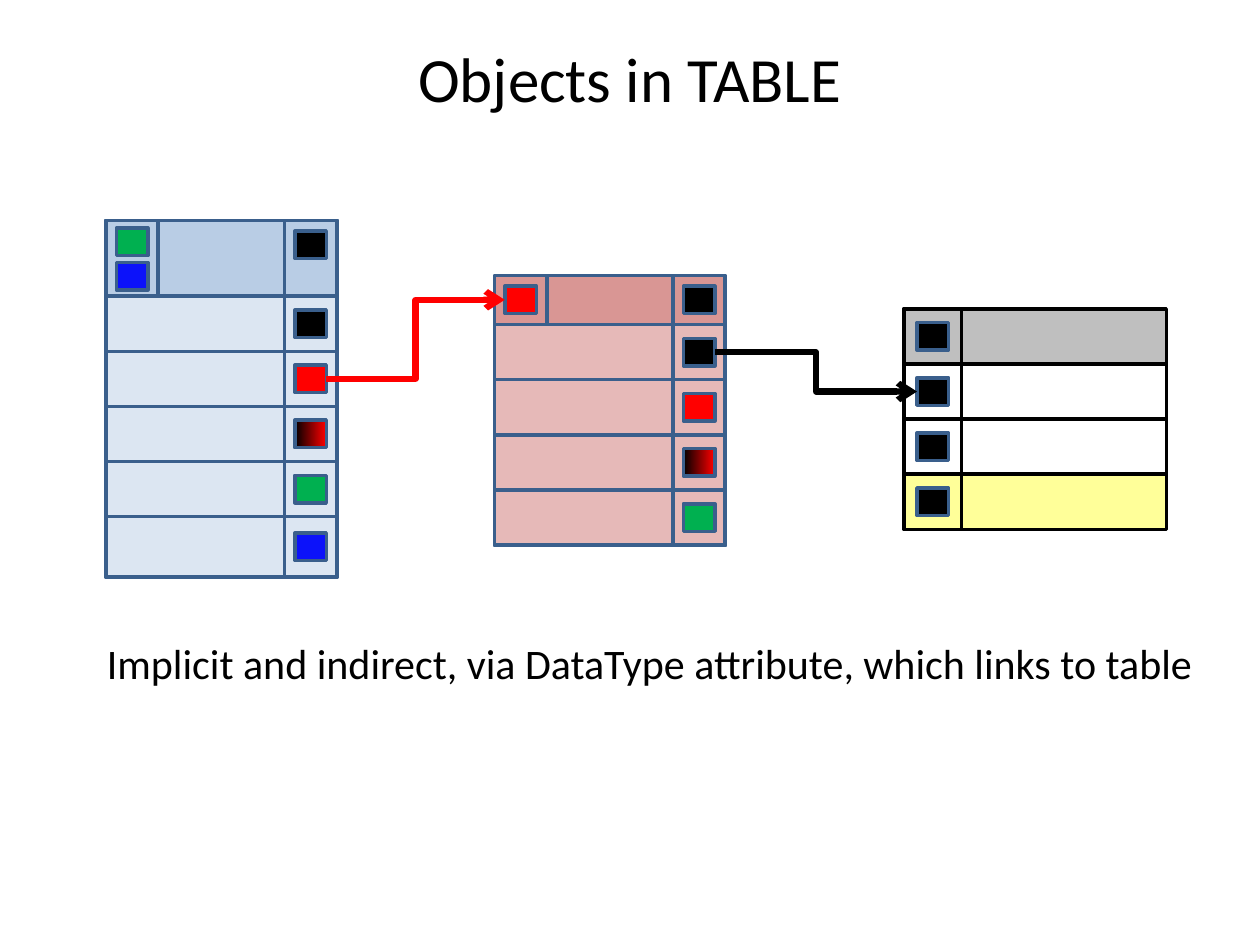
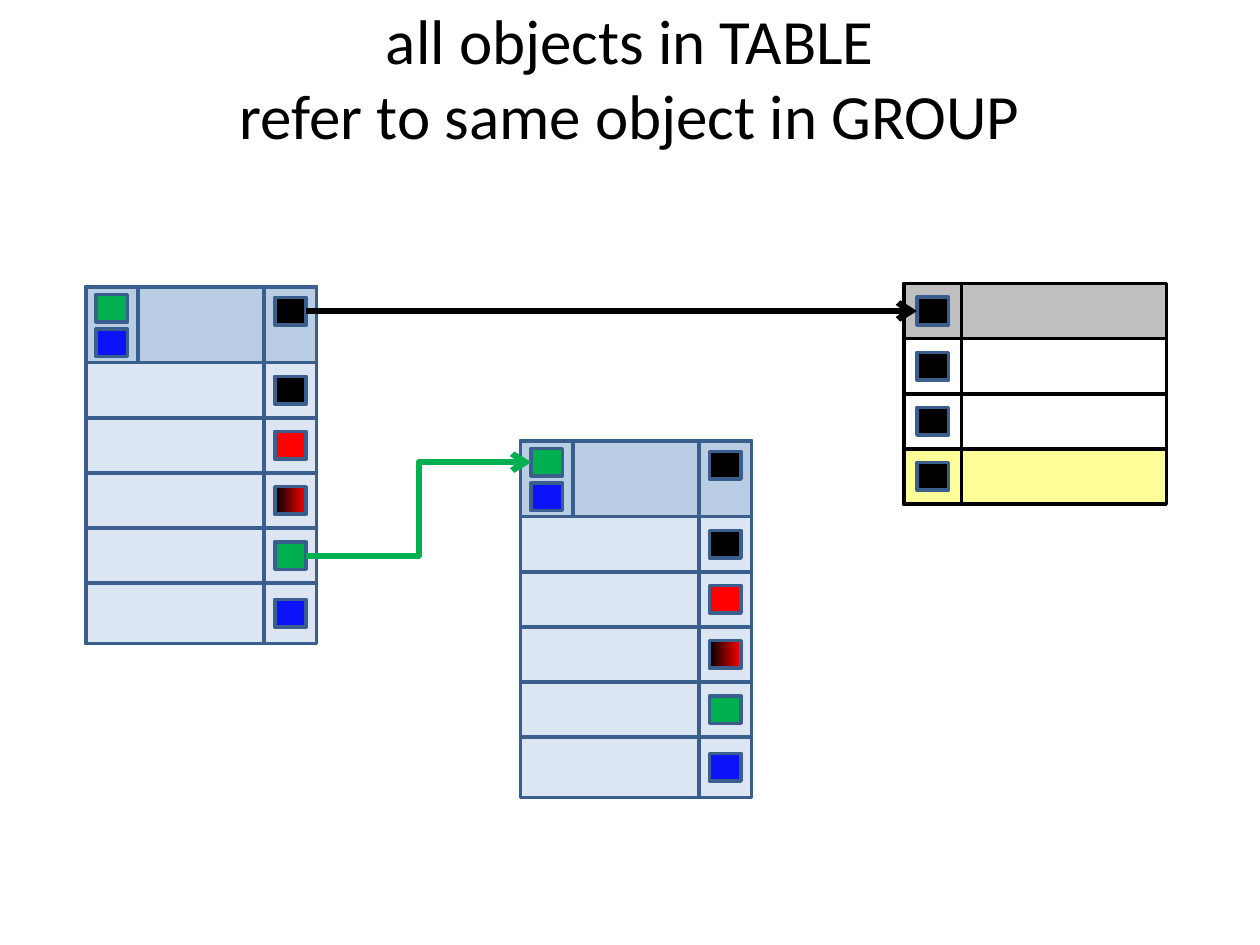
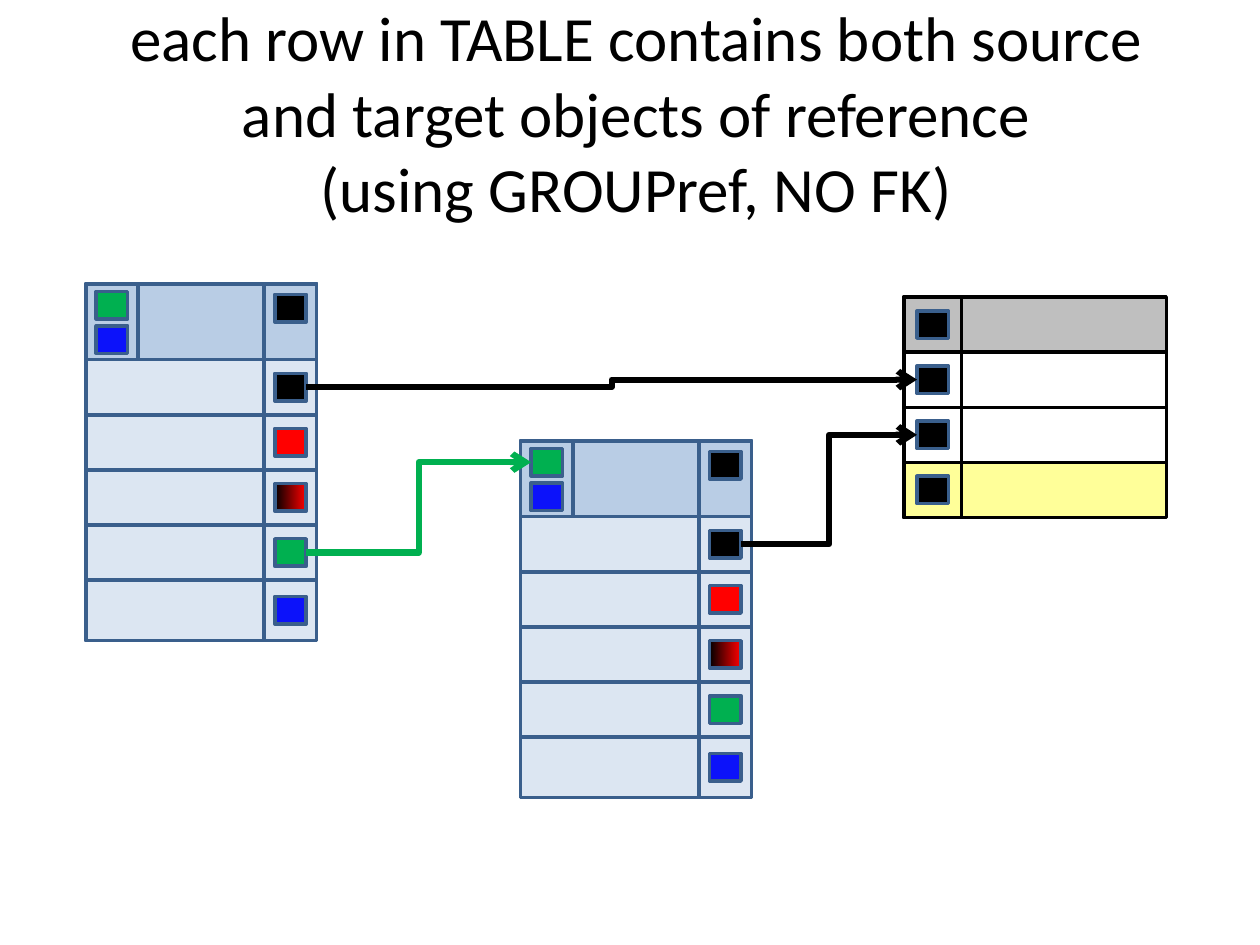
from dataclasses import dataclass

from lxml.etree import SubElement
from pptx import Presentation
from pptx.dml.color import RGBColor
from pptx.enum.shapes import MSO_CONNECTOR, MSO_SHAPE
from pptx.enum.text import MSO_ANCHOR, PP_ALIGN
from pptx.oxml.ns import qn
from pptx.util import Pt


@dataclass(frozen=True)
class Theme:
    font: str = "Calibri"
    title_size: float = 36
    note_size: float = 24
    outline: float = 2
    arrow: float = 3.5
    border: str = "3A5F8C"
    black: str = "000000"
    red: str = "FF0000"
    green: str = "00B050"
    blue: str = "0C12FA"
    grey: str = "BFBFBF"
    yellow: str = "FFFF99"
    blue_head: str = "B9CDE5"
    blue_body: str = "DCE6F2"
    pink_head: str = "D99694"
    pink_body: str = "E6B9B8"


THEME = Theme()

# Cards: keys sit left in the header, row markers run down the right column
CARDS = {
    "blue": {
        "head": THEME.blue_head, "body": THEME.blue_body, "head_height": 43.25,
        "keys": [("green", 4.25), ("blue", 24)],
        "rows": ["black", "red", "mixed", "green", "blue"], "last_height": 34.5,
    },
    "pink": {
        "head": THEME.pink_head, "body": THEME.pink_body, "head_height": 28,
        "keys": [("red", 6)],
        "rows": ["black", "red", "mixed", "green"], "last_height": 31.5,
    },
}

# Group list: one name and fill per row
GROUP_ROWS = [("header", THEME.grey), ("first", None), ("second", None), ("footer", THEME.yellow)]

# Parts: name -> (kind, left, top); links: (source, marker, target, marker, colour)
SLIDES = [
    {
        "title": ["Objects in TABLE"],
        "title_at": (36, 21.5),
        "parts": {
            "group": ("group", 516.5, 176.5),
            "source": ("blue", 60.5, 126),
            "type": ("pink", 282.5, 157.5),
        },
        "links": [
            ("type", "black", "group", "first", THEME.black),
            ("source", "red", "type", "key red", THEME.red),
        ],
        "note": "Implicit and indirect, via DataType attribute, which links to table",
    },
    {
        "title": ["all objects in TABLE", "refer to same object in GROUP"],
        "title_at": (36, 21.5),
        "parts": {
            "group": ("group", 516.5, 162),
            "source": ("blue", 49, 164),
            "target": ("blue", 297.5, 252),
        },
        "links": [
            ("source", "green", "target", "key green", THEME.green),
            ("source", "header", "group", "header", THEME.black),
        ],
    },
    {
        "title": ["each row in TABLE contains both source and target objects of reference",
                  "(using GROUPref, NO FK)"],
        "title_at": (39.5, 41.5),
        "parts": {
            "group": ("group", 516.5, 169.75),
            "source": ("blue", 49, 162.25),
            "target": ("blue", 297.5, 252),
        },
        "links": [
            ("source", "green", "target", "key green", THEME.green),
            ("source", "black", "group", "first", THEME.black),
            ("target", "black", "group", "second", THEME.black),
        ],
    },
]

# Shared measures, in points
ROW = 31.5
MARKER_WIDTH, MARKER_HEIGHT = 18, 15.75
CARD_WIDTH, CARD_COLUMN = 132, 30
GROUP_WIDTH, GROUP_COLUMN = 150, 33
LEFT_SITE, RIGHT_SITE = 1, 3


def colour_of(value):
    return RGBColor.from_string(value)


def add_rect(parent, left, top, width, height, fill=None, border=THEME.border):
    shape = parent.shapes.add_shape(MSO_SHAPE.RECTANGLE, Pt(left), Pt(top), Pt(width), Pt(height))
    shape.shadow.inherit = False
    shape.line.color.rgb = colour_of(border)
    shape.line.width = Pt(THEME.outline)
    if fill:
        shape.fill.solid()
        shape.fill.fore_color.rgb = colour_of(fill)
    else:
        shape.fill.background()
    return shape


def add_marker(parent, left, top, name):
    mixed = name == "mixed"
    marker = add_rect(parent, left, top, MARKER_WIDTH, MARKER_HEIGHT,
                      None if mixed else getattr(THEME, name))
    if mixed:
        marker.fill.gradient()
        marker.fill.gradient_angle = 0
        for stop, value in zip(marker.fill.gradient_stops, (THEME.black, THEME.red)):
            stop.color.rgb = colour_of(value)
    return marker


def add_card(page, kind, left, top):
    card = CARDS[kind]
    parent = page.shapes.add_group_shape()
    rows, head = card["rows"], card["head_height"]
    total = head + ROW * (len(rows) - 1) + card["last_height"]
    column = left + CARD_WIDTH - CARD_COLUMN
    inset = (CARD_COLUMN - MARKER_WIDTH) / 2

    # Frame, rows and columns
    add_rect(parent, left, top, CARD_WIDTH, total, card["body"])
    add_rect(parent, left, top, CARD_WIDTH, head, card["head"])
    heights = [ROW] * (len(rows) - 1) + [card["last_height"]]
    tops = [top + head + ROW * index for index in range(len(rows))]
    for row_top, height in zip(tops, heights):
        add_rect(parent, left, row_top, CARD_WIDTH, height)
    add_rect(parent, column, top, CARD_COLUMN, total)
    add_rect(parent, left, top, CARD_COLUMN, head)

    # Markers
    markers = {"header": add_marker(parent, column + inset, top + inset, "black")}
    for name, row_top, height in zip(rows, tops, heights):
        middle = row_top + (height - MARKER_HEIGHT) / 2
        markers[name] = add_marker(parent, column + inset, middle, name)
    for name, offset in card["keys"]:
        markers[f"key {name}"] = add_marker(parent, left + inset, top + offset, name)
    return markers


def add_group_list(page, left, top):
    parent = page.shapes.add_group_shape()
    for index, (_, fill) in enumerate(GROUP_ROWS):
        add_rect(parent, left, top + ROW * index, GROUP_WIDTH, ROW, fill, THEME.black)
    add_rect(parent, left, top, GROUP_COLUMN, ROW * len(GROUP_ROWS), border=THEME.black)
    across = left + (GROUP_COLUMN - MARKER_WIDTH) / 2
    down = top + (ROW - MARKER_HEIGHT) / 2
    return {name: add_marker(parent, across, down + ROW * index, "black")
            for index, (name, _) in enumerate(GROUP_ROWS)}


def add_link(page, source, target, colour):
    link = page.shapes.add_connector(MSO_CONNECTOR.ELBOW, 0, 0, 0, 0)
    link.begin_connect(source, RIGHT_SITE)
    link.end_connect(target, LEFT_SITE)
    link.line.color.rgb = colour_of(colour)
    link.line.width = Pt(THEME.arrow)
    SubElement(link.line._get_or_add_ln(), qn("a:tailEnd"), type="arrow")
    SubElement(link._element.spPr, qn("a:effectLst"))


def add_text(page, left, top, width, height, lines, size, wrap=True):
    box = page.shapes.add_textbox(Pt(left), Pt(top), Pt(width), Pt(height))
    box.text_frame.word_wrap = wrap
    para = box.text_frame.paragraphs[0]
    for index, line in enumerate(lines):
        if index:
            para.add_line_break()
        para.add_run().text = line
    para.font.name = THEME.font
    para.font.size = Pt(size)
    para.font.color.rgb = colour_of(THEME.black)
    for span in para.runs:
        span.font.size = Pt(size)
    return box


def add_title(page, lines, left, top):
    box = add_text(page, left, top, 648, 45, lines, THEME.title_size)
    box.text_frame.vertical_anchor = MSO_ANCHOR.MIDDLE
    box.text_frame.paragraphs[0].alignment = PP_ALIGN.CENTER


def build_page(deck, content):
    page = deck.slides.add_slide(deck.slide_layouts[6])
    add_title(page, content["title"], *content["title_at"])
    markers = {}
    for name, (kind, left, top) in content["parts"].items():
        if kind == "group":
            markers[name] = add_group_list(page, left, top)
        else:
            markers[name] = add_card(page, kind, left, top)
    for source, start, target, end, colour in content["links"]:
        add_link(page, markers[source][start], markers[target][end], colour)
    if "note" in content:
        add_text(page, 54, 360.75, 635.75, 36, [content["note"]], THEME.note_size, wrap=False)


def main():
    deck = Presentation()
    deck.slide_width, deck.slide_height = Pt(720), Pt(540)
    for content in SLIDES:
        build_page(deck, content)
    deck.save("out.pptx")


if __name__ == "__main__":
    main()
